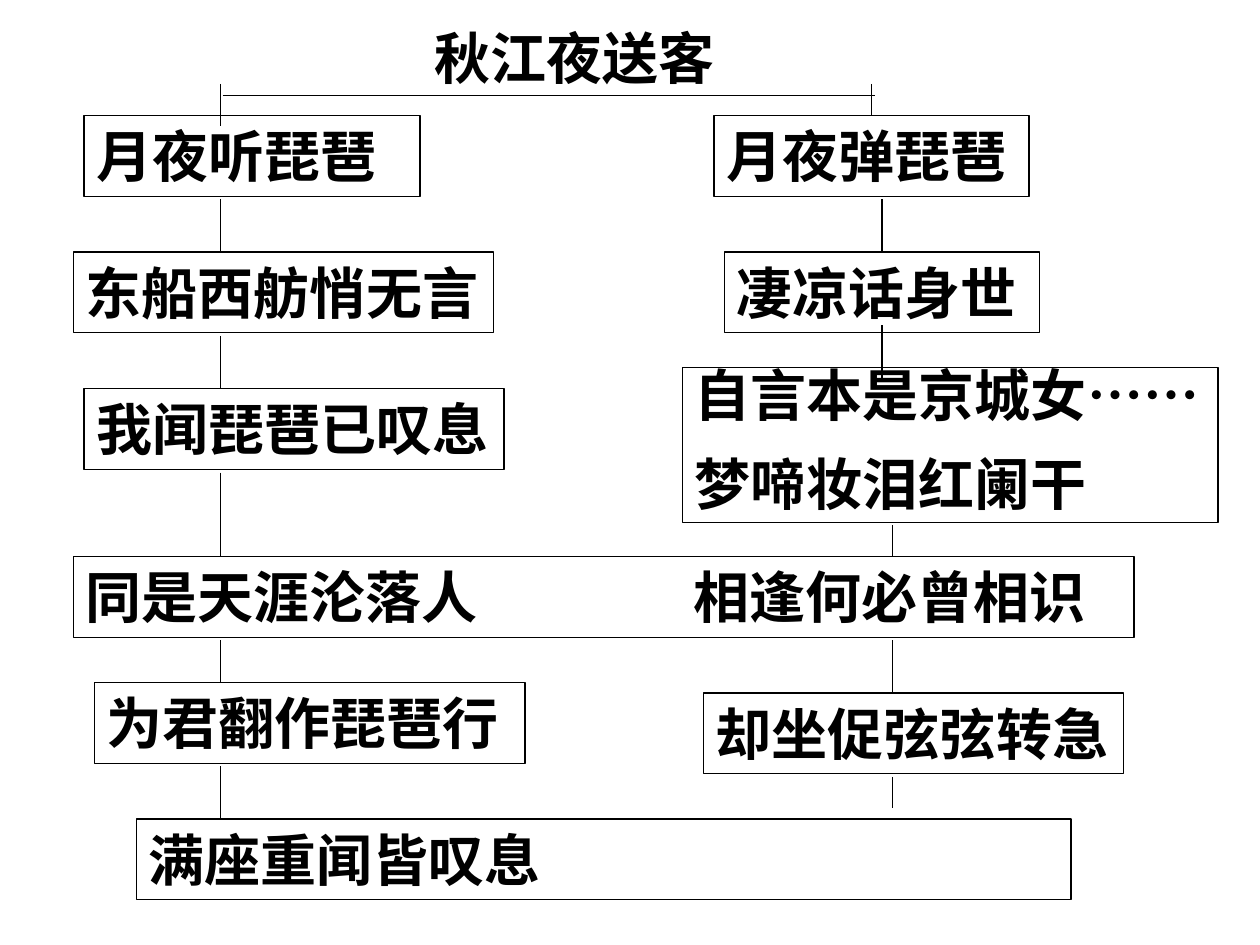
from lxml.etree import SubElement
from pptx import Presentation
from pptx.dml.color import RGBColor
from pptx.enum.lang import MSO_LANGUAGE_ID
from pptx.enum.shapes import MSO_CONNECTOR, MSO_SHAPE
from pptx.enum.text import MSO_ANCHOR, MSO_AUTO_SIZE, PP_ALIGN
from pptx.oxml.ns import qn
from pptx.util import Inches, Pt

BLACK = RGBColor(0, 0, 0)
FONT = "Times New Roman"
CELL = Inches(1) / 12  # the slide is a grid of 120 columns and 90 rows
BOX_ROWS = 7.7
TAB_COLUMN = 57.9

# Boxes: text, left column, top row, columns wide
BOXES = [
    ("月夜听琵琶", 8, 11, 32),
    ("月夜弹琵琶", 68, 11, 30),
    ("东船西舫悄无言", 7, 24, 40),
    ("凄凉话身世", 69, 24, 30),
    ("我闻琵琶已叹息", 8, 37, 40),
    ("同是天涯沦落人\t相逢何必曾相识", 7, 53, 101),
    ("为君翻作琵琶行", 9, 65, 41),
    ("却坐促弦弦转急", 67, 66, 40),
    ("满座重闻皆叹息", 13, 78, 89),
]
# Vertical links: column, then pairs of first and last row
LINKS = {
    21: [(8, 12), (19, 24), (32, 37), (45, 53), (61, 65), (73, 78)],
    83: [(8, 11)],
    84: [(19, 24), (31, 36)],
    85: [(50, 53), (61, 66), (74, 77)],
}


def grid(*cells):
    return [round(c * CELL) for c in cells]


def write(shape, text):
    tf = shape.text_frame
    tf.text = text
    tf.word_wrap = True
    tf.auto_size = MSO_AUTO_SIZE.SHAPE_TO_FIT_TEXT
    tf.vertical_anchor = MSO_ANCHOR.TOP
    for p in tf.paragraphs:
        p.alignment = PP_ALIGN.LEFT
        if "\t" in p.text:
            tabs = SubElement(p._p.get_or_add_pPr(), qn("a:tabLst"))
            SubElement(tabs, qn("a:tab"), pos=str(grid(TAB_COLUMN)[0]), algn="l")
        for r in p.runs:
            r.font.name = FONT
            r.font.size = Pt(32)
            r.font.bold = True
            r.font.color.rgb = BLACK
            r.font.language_id = MSO_LANGUAGE_ID.SIMPLIFIED_CHINESE


def add_title(s, text, left, top, width, height):
    title = s.shapes.title
    title.left, title.top, title.width, title.height = grid(left, top, width, height)
    write(title, text)


def add_box(s, text, left, top, width, height=BOX_ROWS):
    box = s.shapes.add_shape(MSO_SHAPE.RECTANGLE, *grid(left, top, width, height))
    box.shadow.inherit = False
    box.fill.background()
    box.line.color.rgb = BLACK
    box.line.width = Pt(0.75)
    write(box, text)
    return box


def add_line(s, x1, y1, x2, y2):
    line = s.shapes.add_connector(MSO_CONNECTOR.STRAIGHT, *grid(x1, y1, x2, y2))
    line.line.color.rgb = BLACK
    line.line.width = Pt(0.75)
    SubElement(line._element.spPr, qn("a:effectLst"))


def main():
    prs = Presentation()
    prs.slide_width, prs.slide_height = Inches(10), Inches(7.5)
    s = prs.slides.add_slide(prs.slide_layouts[5])
    add_title(s, "秋江夜送客", 40.2, 1.6, 33, BOX_ROWS)

    # Boxes of the two columns
    for box in BOXES:
        add_box(s, *box)

    # The two-line quotation
    quote = add_box(s, "自言本是京城女……\n梦啼妆泪红阑干", 65, 35, 51, 14.8)
    first, second = quote.text_frame.paragraphs
    first.line_spacing = second.line_spacing = 0.8
    second.space_before = Pt(20)

    # Branch under the title and links between the boxes
    add_line(s, 21.2, 9.1, 83.3, 9.1)
    for column, spans in LINKS.items():
        for start, end in spans:
            add_line(s, column, start, column, end)

    prs.save("out.pptx")


if __name__ == "__main__":
    main()
